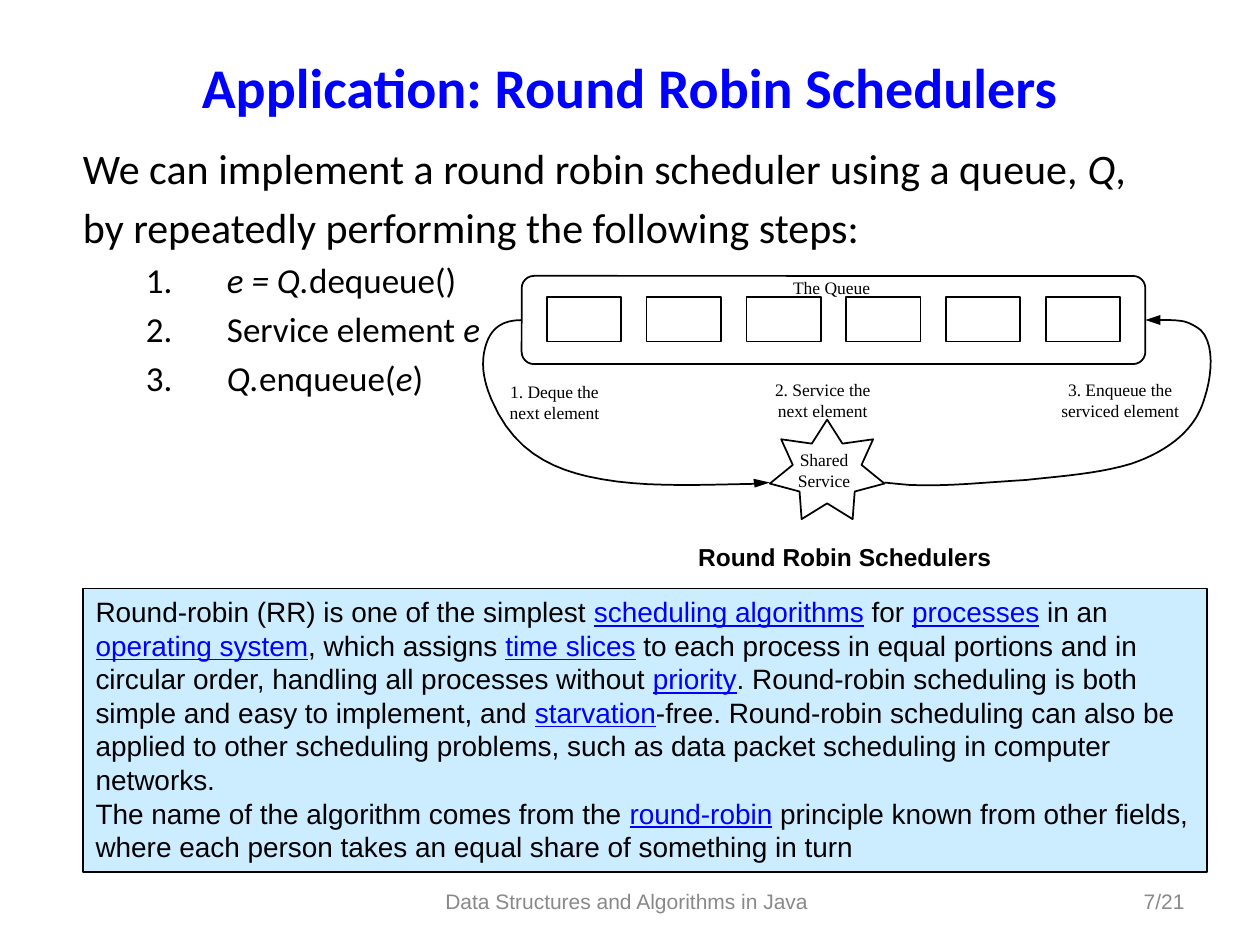
from dataclasses import dataclass
from typing import NamedTuple

from lxml import etree
from pptx import Presentation, util as u
from pptx.dml.color import RGBColor
from pptx.enum import shapes, text
from pptx.oxml.ns import qn

IN = u.Inches
MID, TOP = text.MSO_ANCHOR.MIDDLE, text.MSO_ANCHOR.TOP
LEFT, CENTER, RIGHT = text.PP_ALIGN.LEFT, text.PP_ALIGN.CENTER, text.PP_ALIGN.RIGHT


@dataclass(frozen=True)
class Theme:
    """Colours, fonts and type sizes of the slide."""
    black: str = "000000"
    white: str = "FFFFFF"
    blue: str = "0000FF"
    pale: str = "CCECFF"
    grey: str = "898989"
    head: str = "Calibri"
    sans: str = "Arial"
    serif: str = "Times New Roman"
    title: int = 32
    lead: int = 24
    step: int = 20
    note: int = 16
    caption: int = 14
    footer: int = 12
    label: int = 10


T = Theme()


class Box(NamedTuple):
    """Left, top, width and height in inches."""
    x: float
    y: float
    w: float
    h: float


class Style(NamedTuple):
    """Font, size, colour and weight of a text block."""
    font: str
    size: int
    color: str = T.black
    bold: bool = False


class Run(NamedTuple):
    """A piece of text with its emphasis."""
    text: str
    italic: bool = False
    link: bool = False


class Label(NamedTuple):
    """Centred lines of diagram text."""
    cx: float
    y: float
    lines: tuple[str, ...]


LABELS = [
    Label(6.6, 2.2, ("The Queue",)),
    Label(4.4, 3.02, ("1. Deque the", "next element")),
    Label(6.53, 3.01, ("2. Service the", "next element")),
    Label(8.89, 3.01, ("3. Enqueue the", "serviced element")),
    Label(6.54, 3.56, ("Shared", "Service")),
]
LEAD = [
    [Run("We can implement a round robin scheduler using a queue, "), Run("Q", True), Run(",")],
    [Run("by repeatedly performing the following steps:")],
]
STEPS = [
    [Run(" "), Run("e = Q.", True), Run("dequeue()")],
    [Run(" Service element "), Run("e", True)],
    [Run(" "), Run("Q.", True), Run("enqueue("), Run("e", True), Run(")")],
]
NOTE = [
    [Run("Round-robin (RR) is one of the simplest "), Run("scheduling algorithms", link=True),
     Run(" for "), Run("processes", link=True), Run(" in an "), Run("operating system", link=True),
     Run(", which assigns "), Run("time slices", link=True),
     Run(" to each process in equal portions and in circular order, "
         "handling all processes without "), Run("priority", link=True),
     Run(". Round-robin scheduling is both simple and easy to implement, and "),
     Run("starvation", link=True),
     Run("-free. Round-robin scheduling can also be applied to other scheduling problems, "
         "such as data packet scheduling in computer networks.")],
    [Run("The name of the algorithm comes from the "), Run("round-robin", link=True),
     Run(" principle known from other fields, where each person takes an equal share "
         "of something in turn")],
]
DEQUEUE = [(4.14, 2.54), (3.94, 2.54), (3.88, 2.65), (3.85, 2.76), (3.81, 2.91), (3.85, 3.05),
           (3.9, 3.17), (4.07, 3.57), (4.36, 3.71), (4.66, 3.78), (5.05, 3.87), (5.47, 3.85),
           (5.99, 3.84)]
ENQUEUE = [(7.02, 3.83), (7.21, 3.85), (7.23, 3.85), (7.25, 3.85), (7.53, 3.86), (7.8, 3.83),
           (8.14, 3.81), (8.41, 3.78), (8.72, 3.76), (8.98, 3.68), (9.16, 3.62), (9.33, 3.52),
           (9.43, 3.4), (9.49, 3.33), (9.53, 3.26), (9.56, 3.16), (9.62, 2.98), (9.64, 2.73),
           (9.53, 2.62), (9.49, 2.59), (9.44, 2.56), (9.39, 2.55), (9.33, 2.54), (9.2, 2.54)]
ENQUEUE.insert(-1, (9.28, 2.54))
HEADS = [[(5.98, 3.8), (6.11, 3.83), (5.99, 3.87)], [(9.21, 2.58), (9.09, 2.54), (9.21, 2.5)]]


def add_runs(p, runs: list[Run], style: Style) -> None:
    """Append styled runs to a paragraph."""
    for run in runs:
        r = p.add_run()
        r.text = run.text
        f = r.font
        f.name, f.size, f.bold = style.font, u.Pt(style.size), style.bold
        f.italic, f.underline = run.italic, run.link
        f.color.rgb = RGBColor.from_string(T.blue if run.link else style.color)


def fill_text(tf, paras: list[list[Run]], style: Style, align=LEFT, anchor=TOP) -> None:
    """Write paragraphs into a text frame."""
    tf.word_wrap, tf.vertical_anchor = True, anchor
    for i, runs in enumerate(paras):
        p = tf.add_paragraph() if i else tf.paragraphs[0]
        p.alignment = align
        add_runs(p, runs, style)


def add_text(s, box: Box, paras: list[list[Run]], style: Style, align=LEFT, anchor=TOP):
    """Add a text box and return its frame."""
    tf = s.shapes.add_textbox(*map(IN, box)).text_frame
    fill_text(tf, paras, style, align, anchor)
    return tf


def add_body(s) -> None:
    """Add the lead lines and the numbered steps."""
    tf = add_text(s, Box(0.56, 1.08, 8.75, 2.2), LEAD, Style(T.head, T.lead))
    tf.paragraphs[1].space_before = u.Pt(0.2 * T.lead)
    for runs in STEPS:
        p = tf.add_paragraph()
        p.space_before = u.Pt(0.2 * T.step)
        pPr = p._p.get_or_add_pPr()
        pPr.set("marL", str(IN(1.08)))
        pPr.set("indent", str(IN(-0.58)))
        etree.SubElement(pPr, qn("a:buFont"), typeface="+mj-lt")
        etree.SubElement(pPr, qn("a:buAutoNum"), type="arabicPeriod")
        add_runs(p, runs, Style(T.head, T.step))


def add_outlined(s, kind, box: Box, fill: str = T.white, width: float = 1):
    """Add a filled preset shape with a black outline."""
    sp = s.shapes.add_shape(kind, *map(IN, box))
    sp.shadow.inherit = False
    sp.fill.solid()
    sp.fill.fore_color.rgb = RGBColor.from_string(fill)
    sp.line.color.rgb = RGBColor.from_string(T.black)
    sp.line.width = u.Pt(width)
    return sp


def add_outline(s, points: list[tuple[float, float]], close: bool):
    """Add a freeform through points given in inches."""
    start, *rest = [tuple(map(IN, point)) for point in points]
    fb = s.shapes.build_freeform(*start, scale=1.0)
    fb.add_line_segments(rest, close=close)
    sp = fb.convert_to_shape()
    sp.shadow.inherit = False
    return sp


def add_curve(s, knots: list[tuple[float, float]], steps: int = 10) -> None:
    """Draw joined cubic Bezier arcs."""
    points = [knots[0]]
    for k in range(0, len(knots) - 1, 3):
        arc = knots[k:k + 4]
        for t in (n / steps for n in range(1, steps + 1)):
            weights = ((1 - t) ** 3, 3 * t * (1 - t) ** 2, 3 * t * t * (1 - t), t ** 3)
            points.append(tuple(sum(w * q[a] for w, q in zip(weights, arc)) for a in (0, 1)))
    sp = add_outline(s, points, False)
    sp.fill.background()
    sp.line.color.rgb = RGBColor.from_string(T.black)
    sp.line.width = u.Pt(1)


def add_head(s, corners: list[tuple[float, float]]) -> None:
    """Draw a solid arrowhead."""
    sp = add_outline(s, corners, True)
    sp.fill.solid()
    sp.fill.fore_color.rgb = RGBColor.from_string(T.black)
    sp.line.fill.background()


def add_diagram(s) -> None:
    """Draw the queue, the shared service and the cycle between them."""
    kinds = shapes.MSO_SHAPE
    queue = add_outlined(s, kinds.ROUNDED_RECTANGLE, Box(4.14, 2.19, 4.95, 0.7))
    queue.adjustments[0] = 0.14
    pitch = (8.3 - 4.34) / 5
    for i in range(6):
        add_outlined(s, kinds.RECTANGLE, Box(4.34 + i * pitch, 2.36, 0.59, 0.35))
    star = add_outlined(s, kinds.STAR_7_POINT, Box(6.11, 3.33, 0.91, 0.79))
    star.adjustments[0] = 0.3
    for knots, corners in zip((DEQUEUE, ENQUEUE), HEADS):
        add_curve(s, knots)
        add_head(s, corners)
    for cx, y, lines in LABELS:
        tf = add_text(s, Box(cx - 0.6, y, 1.2, 0.16 * len(lines)), [[Run(t)] for t in lines],
                      Style(T.serif, T.label), CENTER)
        tf.margin_left = tf.margin_right = tf.margin_top = tf.margin_bottom = 0


def main() -> None:
    """Build the slide and save it."""
    prs = Presentation()
    prs.slide_width, prs.slide_height = IN(10), IN(7.5)
    s = prs.slides.add_slide(prs.slide_layouts[6])
    footer = Style(T.sans, T.footer, T.grey)
    add_text(s, Box(3.14, 6.95, 3.67, 0.4), [[Run("Data Structures and Algorithms in Java")]],
             footer, CENTER, MID)
    add_text(s, Box(7.17, 6.95, 2.33, 0.4), [[Run("7/21")]], footer, RIGHT, MID)
    add_text(s, Box(0.5, 0.37, 9, 0.63), [[Run("Application: Round Robin Schedulers")]],
             Style(T.head, T.title, T.blue, True), CENTER, MID)
    add_body(s)
    add_diagram(s)
    note = add_outlined(s, shapes.MSO_SHAPE.RECTANGLE, Box(0.66, 4.67, 8.92, 2.25), T.pale, 0.75)
    fill_text(note.text_frame, NOTE, Style(T.sans, T.note))
    add_text(s, Box(4.83, 4.25, 3.75, 0.33), [[Run("Round Robin Schedulers")]],
             Style(T.sans, T.caption, bold=True), CENTER)
    prs.save("out.pptx")


if __name__ == "__main__":
    main()
